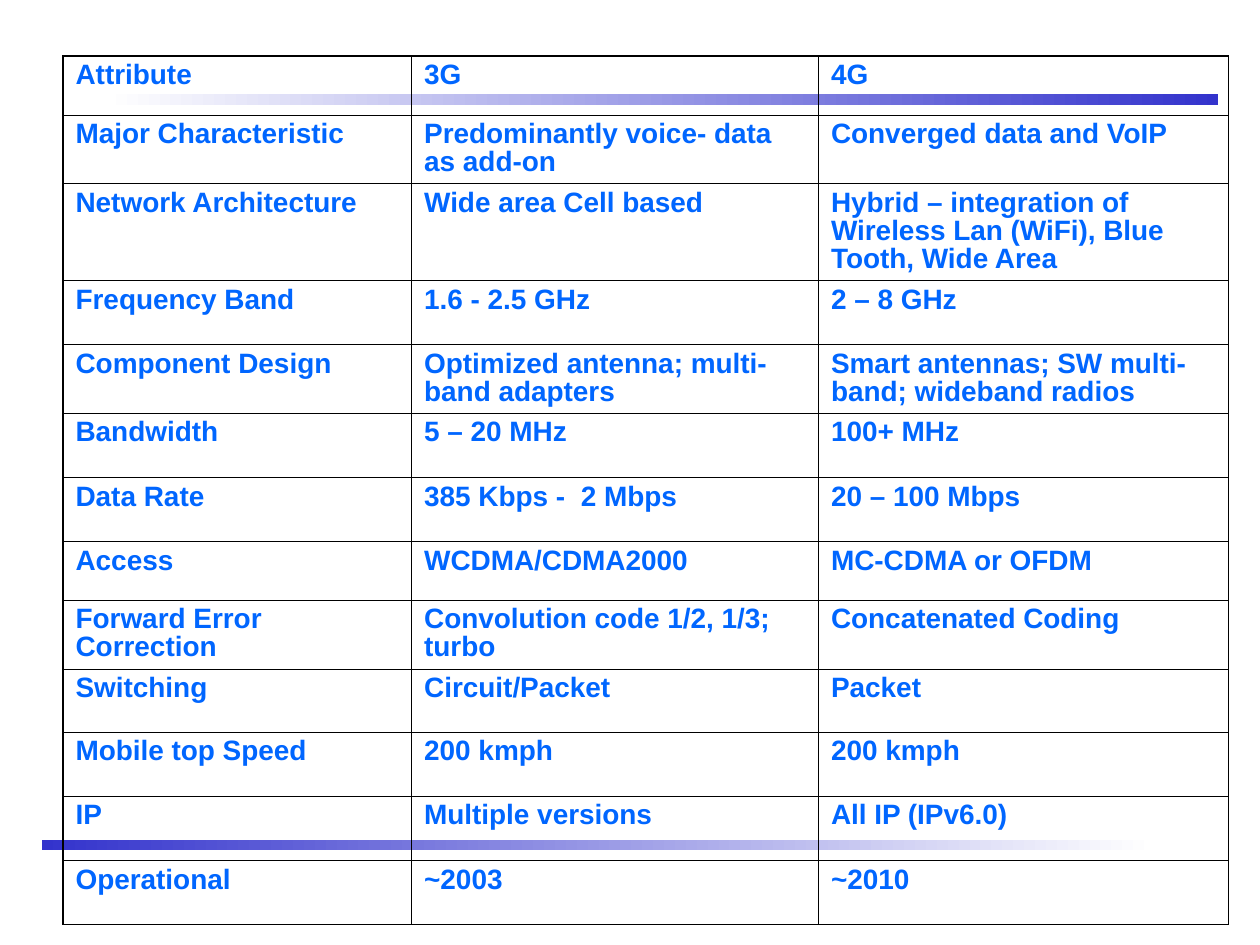
"""Build a one-page table that compares 3G with 4G."""
from dataclasses import dataclass

from lxml.etree import SubElement
from pptx import Presentation
from pptx.dml.color import RGBColor
from pptx.enum.shapes import MSO_SHAPE
from pptx.oxml.ns import qn
from pptx.util import Pt


@dataclass(frozen=True)
class Theme:
    font: str = "Arial"
    text_size: float = 16
    text_color: str = "0066FF"
    bar_color: str = "3333CC"
    page_color: str = "FFFFFF"
    border_color: str = "000000"
    outer_border: float = 1.08
    inner_border: float = 0.45
    line_spacing: float = 0.9
    space_after: float = 4


ROWS = [
    (33.84, "Attribute", "3G", "4G"),
    (38.88, "Major Characteristic", "Predominantly voice- data as add-on", "Converged data and VoIP"),
    (51.84, "Network Architecture", "Wide area Cell based",
     "Hybrid – integration of Wireless Lan (WiFi), Blue Tooth, Wide Area"),
    (36.72, "Frequency Band", "1.6 - 2.5 GHz", "2 – 8 GHz"),
    (36.72, "Component Design", "Optimized antenna; multi-band adapters",
     "Smart antennas; SW multi-band; wideband radios"),
    (36.72, "Bandwidth", "5 – 20 MHz", "100+ MHz"),
    (36.72, "Data Rate", "385 Kbps -  2 Mbps", "20 – 100 Mbps"),
    (33.5, "Access", "WCDMA/CDMA2000", "MC-CDMA or OFDM"),
    (36.72, "Forward Error Correction", "Convolution code 1/2, 1/3; turbo", "Concatenated Coding"),
    (36, "Switching", "Circuit/Packet", "Packet"),
    (36.72, "Mobile top Speed", "200 kmph", "200 kmph"),
    (36.72, "IP", "Multiple versions", "All IP (IPv6.0)"),
    (36.72, "Operational", "~2003", "~2010"),
]
COLUMN_WIDTHS = [199.2, 232.5, 234.3]


class SlideBuilder:
    def __init__(self, page, theme):
        self.page = page
        self.theme = theme

    def gradient_bar(self, left, top, width, height, start, end):
        bar = self.page.shapes.add_shape(
            MSO_SHAPE.RECTANGLE, Pt(left), Pt(top), Pt(width), Pt(height))
        bar.shadow.inherit = False
        bar.line.fill.background()
        bar.fill.gradient()
        bar.fill.gradient_angle = 0
        for stop, color in zip(bar.fill.gradient_stops, (start, end)):
            stop.color.rgb = RGBColor.from_string(color)

    def table(self, left, top, widths, rows):
        frame = self.page.shapes.add_table(
            len(rows), len(widths), Pt(left), Pt(top),
            Pt(sum(widths)), Pt(sum(row[0] for row in rows)))
        table = frame.table
        table.first_row = False
        table.horz_banding = False
        for column, width in zip(table.columns, widths):
            column.width = Pt(width)
        last_row, last_column = len(rows) - 1, len(widths) - 1
        for row_index, (height, *labels) in enumerate(rows):
            table.rows[row_index].height = Pt(height)
            for column_index, label in enumerate(labels):
                cell = table.cell(row_index, column_index)
                self.cell_text(cell, label)
                self.cell_borders(cell, {
                    "a:lnL": column_index == 0,
                    "a:lnR": column_index == last_column,
                    "a:lnT": row_index == 0,
                    "a:lnB": row_index == last_row,
                })
                cell.fill.background()

    def cell_text(self, cell, label):
        cell.text_frame.text = label
        para = cell.text_frame.paragraphs[0]
        para.line_spacing = self.theme.line_spacing
        para.space_after = Pt(self.theme.space_after)
        for span in para.runs:
            span.font.name = self.theme.font
            span.font.size = Pt(self.theme.text_size)
            span.font.bold = True
            span.font.color.rgb = RGBColor.from_string(self.theme.text_color)

    def cell_borders(self, cell, outer_sides):
        properties = cell._tc.get_or_add_tcPr()
        for side, is_outer in outer_sides.items():
            width = self.theme.outer_border if is_outer else self.theme.inner_border
            border = SubElement(properties, qn(side), w=str(int(Pt(width))))
            fill = SubElement(border, qn("a:solidFill"))
            SubElement(fill, qn("a:srgbClr"), val=self.theme.border_color)


def main():
    theme = Theme()
    deck = Presentation()
    deck.slide_width, deck.slide_height = Pt(720), Pt(540)
    builder = SlideBuilder(deck.slides.add_slide(deck.slide_layouts[6]), theme)
    builder.gradient_bar(60, 54, 636, 6, theme.page_color, theme.bar_color)
    builder.gradient_bar(24, 480, 636, 6, theme.bar_color, theme.page_color)
    builder.table(36, 32, COLUMN_WIDTHS, ROWS)
    deck.save("out.pptx")


if __name__ == "__main__":
    main()
